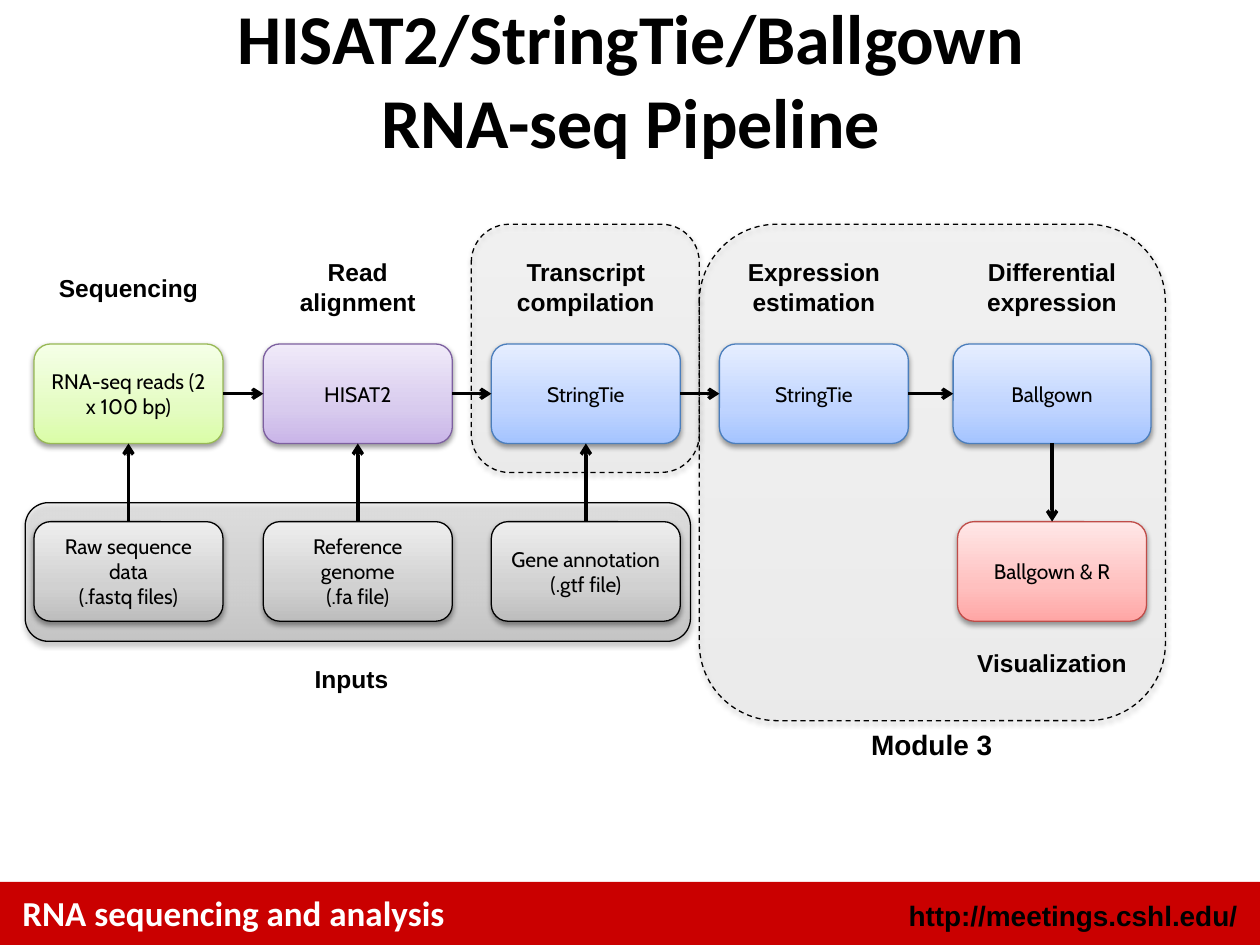
from lxml.etree import SubElement
from pptx import Presentation
from pptx.dml.color import RGBColor
from pptx.enum.dml import MSO_LINE
from pptx.enum.shapes import MSO_CONNECTOR, MSO_SHAPE
from pptx.enum.text import MSO_ANCHOR, PP_ALIGN
from pptx.oxml.ns import qn
from pptx.util import Inches, Pt

BLACK = RGBColor(0, 0, 0)
WHITE = RGBColor(0xFF, 0xFF, 0xFF)
RED = RGBColor(0xCA, 0, 0)
GREEN_LINE = RGBColor(0x98, 0xB9, 0x55)
PURPLE_LINE = RGBColor(0x7D, 0x60, 0xA0)
BLUE_LINE = RGBColor(0x4B, 0x7E, 0xBC)
PINK_LINE = RGBColor(0xBF, 0x4C, 0x48)


def shades(*colours):
    return [RGBColor.from_string(colour) for colour in colours]


# Gradients from bottom to top, each with its outline colour
GREY = shades("BDBDBD", "D1D1D1", "EEEEEE"), BLACK
GREEN = shades("DAFDA7", "E4FCC2", "F5FFE7"), GREEN_LINE
PURPLE = shades("C9B5E8", "D8CBEE", "F0EAF9"), PURPLE_LINE
BLUE = shades("A4C4FF", "BFD4FF", "E6EEFF"), BLUE_LINE
PINK = shades("FFA6A5", "FFC0BF", "FFE7E7"), PINK_LINE

# Grid: column centres, row tops and box size
CENTRES = [1.02, 2.84, 4.65, 6.46, 8.35]
STEP_TOP, INPUT_TOP = 2.73, 4.14
BOX_WIDTH, BOX_HEIGHT = 1.5, 0.79
COLUMN_WIDTH = 1.81

deck = Presentation()
deck.slide_width, deck.slide_height = Inches(10), Inches(7.5)
page = deck.slides.add_slide(deck.slide_layouts[6])

# Footer bar
bar = page.shapes.add_shape(MSO_SHAPE.RECTANGLE, 0, Inches(7), Inches(10), Inches(0.5))
bar.shadow.inherit = False
bar.fill.solid()
bar.fill.fore_color.rgb = RED
bar.line.fill.background()

# Panels and process boxes: left, top, width, height, palette, opacity %, dashed, text
boxes = [
    (3.74, 1.78, COLUMN_WIDTH, 1.97, GREY, 13, True, ""),
    (5.55, 1.78, 3.7, 3.94, GREY, 13, True, ""),
    (0.2, 3.99, 5.28, 1.1, GREY, 51, False, ""),
]
steps = [
    (0, STEP_TOP, BOX_WIDTH, GREEN, "RNA-seq reads (2 x 100 bp)"),
    (1, STEP_TOP, BOX_WIDTH, PURPLE, "HISAT2"),
    (2, STEP_TOP, BOX_WIDTH, BLUE, "StringTie"),
    (3, STEP_TOP, BOX_WIDTH, BLUE, "StringTie"),
    (4, STEP_TOP, 1.57, BLUE, "Ballgown"),
    (4, INPUT_TOP, BOX_WIDTH, PINK, "Ballgown & R"),
    (0, INPUT_TOP, BOX_WIDTH, GREY, "Raw sequence data\n(.fastq files)"),
    (1, INPUT_TOP, BOX_WIDTH, GREY, "Reference genome\n(.fa file)"),
    (2, INPUT_TOP, BOX_WIDTH, GREY, "Gene annotation\n(.gtf file)"),
]
for column, top, width, palette, words in steps:
    left = CENTRES[column] - width / 2
    boxes.append((left, top, width, BOX_HEIGHT, palette, 100, False, words))

for left, top, width, height, (colours, outline), opacity, dashed, words in boxes:
    box = page.shapes.add_shape(MSO_SHAPE.ROUNDED_RECTANGLE, Inches(left), Inches(top),
                                Inches(width), Inches(height))
    box.line.color.rgb = outline
    box.line.width = Pt(0.75)
    if dashed:
        box.line.dash_style = MSO_LINE.DASH

    # Three-stop gradient with opacity
    box.fill.gradient()
    box.fill.gradient_angle = 90
    stops = box.element.spPr.find(".//" + qn("a:gsLst"))
    for stop in list(stops):
        stops.remove(stop)
    for position, colour in zip((0, 35, 100), colours):
        stop = SubElement(stops, qn("a:gs"), pos=str(position * 1000))
        tint = SubElement(stop, qn("a:srgbClr"), val=str(colour))
        SubElement(tint, qn("a:alpha"), val=str(opacity * 1000))

    # Soft shadow below
    box.shadow.inherit = False
    effects = box.element.spPr.find(qn("a:effectLst"))
    shadow = SubElement(effects, qn("a:outerShdw"), blurRad=str(Pt(3.1)), dist=str(Pt(1.6)),
                        dir="5400000", rotWithShape="0")
    tint = SubElement(shadow, qn("a:srgbClr"), val=str(BLACK))
    SubElement(tint, qn("a:alpha"), val="38000")

    if words:
        box.text_frame.text = words
        box.text_frame.word_wrap = True
        box.text_frame.vertical_anchor = MSO_ANCHOR.MIDDLE
        for para in box.text_frame.paragraphs:
            para.alignment = PP_ALIGN.CENTER
            para.font.name, para.font.size = "Cabin", Pt(12)
            para.font.color.rgb = BLACK

# Arrows between steps, to the plot, and up from the inputs
step_bottom = STEP_TOP + BOX_HEIGHT
middle = STEP_TOP + BOX_HEIGHT / 2
edges = [(centre - width / 2, centre + width / 2)
         for centre, (_, _, width, _, _) in zip(CENTRES, steps)]
arrows = [(start[1], middle, end[0], middle) for start, end in zip(edges, edges[1:])]
arrows.append((CENTRES[4], step_bottom, CENTRES[4], INPUT_TOP))
arrows += [(centre, INPUT_TOP, centre, step_bottom) for centre in CENTRES[:3]]
for ends in arrows:
    arrow = page.shapes.add_connector(MSO_CONNECTOR.STRAIGHT, *map(Inches, ends))
    arrow.line.color.rgb = BLACK
    arrow.line.width = Pt(2)
    SubElement(arrow.line._get_or_add_ln(), qn("a:tailEnd"), type="arrow")
    SubElement(arrow._element.spPr, qn("a:effectLst"))

# Title, footer and labels: left, top, width, height, text, font, size, colour, alignment
LEFT, CENTRE, RIGHT = PP_ALIGN.LEFT, PP_ALIGN.CENTER, PP_ALIGN.RIGHT
texts = [
    (0.17, 0, 9.67, 1.25, "HISAT2/StringTie/Ballgown\vRNA-seq Pipeline",
     "Calibri", 40, BLACK, CENTRE),
    (0.08, 7.03, 7.33, 0.43, "RNA sequencing and analysis", "Calibri", 20, WHITE, LEFT),
    (6.75, 7.08, 3.17, 0.37, "http://meetings.cshl.edu/", "Arial", 16, BLACK, RIGHT),
    (6.81, 5.72, 1.17, 0.37, "Module 3", "Arial", 16, BLACK, CENTRE),
]
labels = [
    (CENTRES[0], 2.11, 1.31, 0.34, "Sequencing"),
    (CENTRES[1], 1.99, 1.36, 0.57, "Read alignment"),
    (CENTRES[2], 1.99, COLUMN_WIDTH, 0.57, "Transcript compilation"),
    (CENTRES[3], 1.99, COLUMN_WIDTH, 0.57, "Expression estimation"),
    (CENTRES[4], 1.99, COLUMN_WIDTH, 0.57, "Differential expression"),
    (CENTRES[4], 5.09, COLUMN_WIDTH, 0.34, "Visualization"),
    (2.79, 5.22, 0.79, 0.34, "Inputs"),
]
for centre, top, width, height, words in labels:
    texts.append((centre - width / 2, top, width, height, words, "Arial", 14, BLACK, CENTRE))

one_line = {"Sequencing", "Inputs", "Module 3"}
for left, top, width, height, words, font, size, colour, alignment in texts:
    box = page.shapes.add_textbox(Inches(left), Inches(top), Inches(width), Inches(height))
    frame = box.text_frame
    frame.text = words
    frame.word_wrap = words not in one_line
    frame.vertical_anchor = MSO_ANCHOR.MIDDLE
    para = frame.paragraphs[0]
    para.alignment = alignment
    para.font.name, para.font.size, para.font.bold = font, Pt(size), True
    para.font.color.rgb = colour

deck.save("out.pptx")
